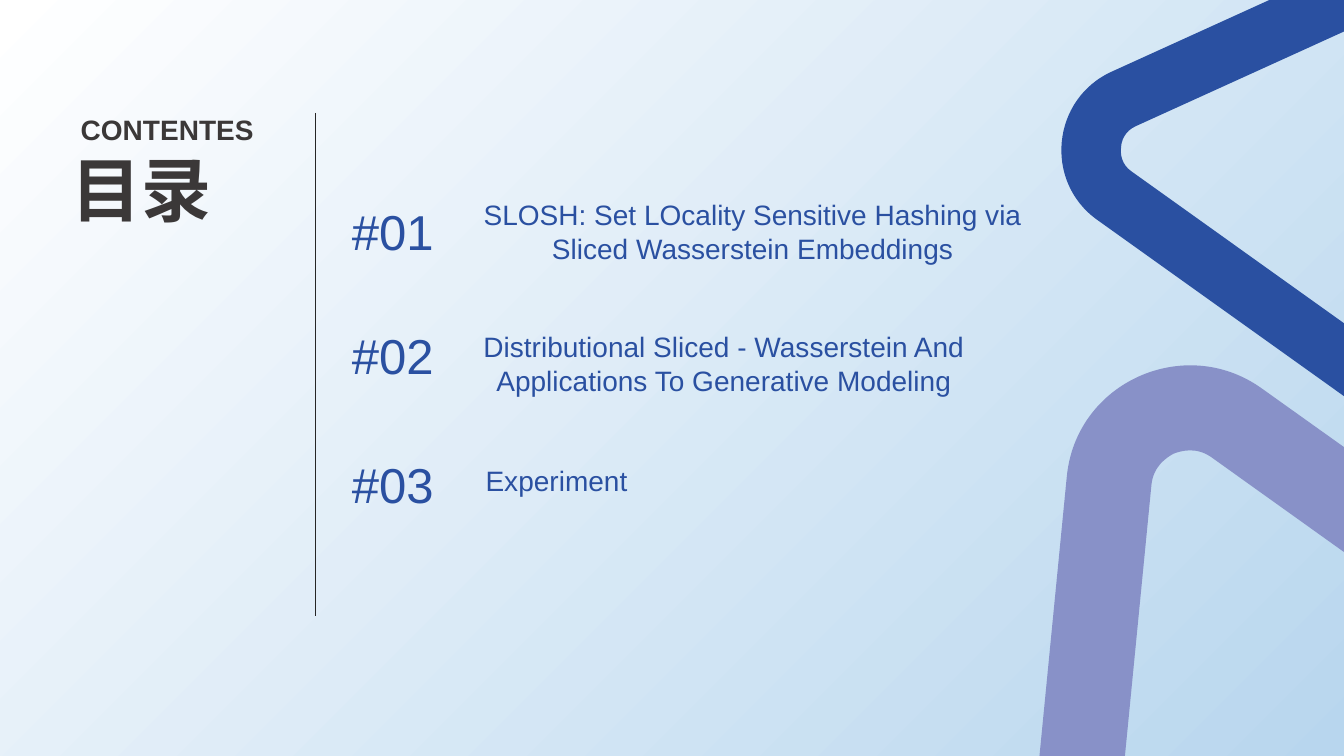
from collections import namedtuple
from math import cos, radians, sin

from lxml.etree import SubElement
from pptx import Presentation
from pptx.dml.color import RGBColor
from pptx.enum.shapes import MSO_CONNECTOR, MSO_SHAPE
from pptx.enum.text import MSO_AUTO_SIZE, PP_ALIGN
from pptx.oxml.ns import qn
from pptx.util import Pt

PX = 9144
FONT = "Arial"
BLUE, LILAC, DARK, RULE = "2A50A1", "8891C8", "3B3838", "262626"

Box = namedtuple("Box", "left top width height")

BLUE_BAND = [
    [(1559, 397), (1599, -14), (1602, -47, 1587, -75, 1563, -91),
     (1540, -108, 1508, -113, 1479, -100), (1103, 71),
     (1043, 98, 1035, 180, 1088, 218), (1424, 458),
     (1478, 496, 1552, 462, 1559, 397)],
    [(1485, 413), (1480, 415, 1469, 418, 1458, 410), (1122, 170),
     (1112, 163, 1111, 152, 1112, 146), (1112, 141, 1115, 130, 1127, 125),
     (1503, -46), (1515, -52, 1525, -47, 1529, -44),
     (1534, -40, 1542, -33, 1540, -20), (1500, 391),
     (1499, 405, 1490, 411, 1485, 413)],
]
LILAC_BAND = [
    [(1058, 473), (1000, 1066), (996, 1113, 1018, 1153, 1051, 1177),
     (1085, 1201, 1130, 1209, 1173, 1189), (1715, 943),
     (1801, 904, 1812, 786, 1736, 731), (1251, 385),
     (1175, 331, 1067, 379, 1058, 473)],
    [(1164, 450), (1172, 447, 1187, 443, 1202, 454), (1686, 800),
     (1702, 811, 1703, 827, 1702, 835), (1701, 843, 1697, 858, 1680, 866),
     (1138, 1112), (1121, 1120, 1107, 1113, 1100, 1108),
     (1094, 1104, 1082, 1093, 1084, 1074), (1142, 481),
     (1144, 462, 1157, 454, 1164, 450)],
]
AGENDA = [
    ("#01", 0, "SLOSH: Set LOcality Sensitive Hashing via Sliced Wasserstein Embeddings",
     Box(106, -4, 583, 67)),
    ("#02", 123, "Distributional Sliced - Wasserstein And Applications To Generative Modeling",
     Box(66, 127, 606, 67)),
    ("#03", 251, "Experiment", Box(71, 260, 264, 34)),
]


def color(value):
    """Turn a hex string into a colour."""
    return RGBColor.from_string(value)


def add_text(page, box, text, size, ink, bold=False, wrap=False):
    """Place one line of text, or a centred block when it wraps."""
    frame = page.shapes.add_textbox(*(length * PX for length in box)).text_frame
    frame.margin_left = frame.margin_top = frame.margin_right = frame.margin_bottom = 0
    frame.word_wrap = wrap
    frame.auto_size = MSO_AUTO_SIZE.SHAPE_TO_FIT_TEXT
    para = frame.paragraphs[0]
    para.alignment = PP_ALIGN.CENTER if wrap else PP_ALIGN.LEFT
    span = para.add_run()
    span.text = text
    span.font.name = FONT
    span.font.size = Pt(size)
    span.font.bold = bold
    span.font.color.rgb = color(ink)


def add_backdrop(page, box):
    """Fill the box with the diagonal gradient."""
    backdrop = page.shapes.add_shape(MSO_SHAPE.RECTANGLE, *(length * PX for length in box))
    backdrop.shadow.inherit = False
    backdrop.line.fill.background()
    backdrop.fill.gradient()
    backdrop.fill.gradient_angle = 315
    for stop, value in zip(backdrop.fill.gradient_stops, ("FFFFFF", "B8D6EE")):
        stop.color.rgb = color(value)


def turn(x, y, angle):
    """Turn a point clockwise about the page corner."""
    cosine, sine = cos(radians(angle)), sin(radians(angle))
    return x * cosine - y * sine, x * sine + y * cosine


def bend(band, contours):
    """Join each three points of a curved segment into one cubic curve."""
    lines = iter(list(band._element.iter(qn("a:lnTo"))))
    for contour in contours:
        for segment in contour[1:]:
            line = next(lines)
            if len(segment) == 2:
                continue
            curve = line.makeelement(qn("a:cubicBezTo"))
            line.addprevious(curve)
            for part in (line, next(lines), next(lines)):
                curve.append(part[0])
                part.getparent().remove(part)


def add_band(page, box, contours, angle, ink):
    """Draw a turned, rounded triangular band from its outer and inner contours."""
    outlines = [[turn((box.left + x) * PX, (box.top + y) * PX, -angle)
                 for segment in contour
                 for x, y in zip(segment[::2], segment[1::2])]
                for contour in contours]
    builder = page.shapes.build_freeform(*outlines[0][0])
    builder.add_line_segments(outlines[0][1:], close=True)
    for outline in outlines[1:]:
        builder.move_to(*outline[0])
        builder.add_line_segments(outline[1:], close=True)
    band = builder.convert_to_shape()
    bend(band, contours)
    x, y = turn(band.left + band.width / 2, band.top + band.height / 2, angle)
    band.left, band.top = round(x - band.width / 2), round(y - band.height / 2)
    band.rotation = angle
    band.shadow.inherit = False
    band.fill.solid()
    band.fill.fore_color.rgb = color(ink)
    band.line.fill.background()


def add_heading(page, box):
    """Place the two titles and the rule at the right edge of the box."""
    add_text(page, Box(box.left, box.top + 33, 141, 84), "目录", 50, DARK, bold=True)
    add_text(page, Box(box.left + 9, box.top, 173, 34), "CONTENTES", 20, DARK, bold=True)
    right, bottom = box.left + box.width, box.top + box.height
    rule = page.shapes.add_connector(MSO_CONNECTOR.STRAIGHT, right * PX, box.top * PX,
                                     right * PX, bottom * PX)
    rule.line.color.rgb = color(RULE)
    rule.line.width = Pt(0.5)
    SubElement(rule._element.spPr, qn("a:effectLst"))


def add_agenda(page, box):
    """Place the numbered topics."""
    for number, top, topic, place in AGENDA:
        add_text(page, Box(box.left, box.top + top, 82, 59), number, 35, BLUE)
        topic_box = Box(box.left + place.left, box.top + place.top, place.width, place.height)
        add_text(page, topic_box, topic, 20, BLUE, wrap=True)


def main():
    """Build the contents slide."""
    deck = Presentation()
    whole = Box(0, 0, 1333, 750)
    deck.slide_width, deck.slide_height = whole.width * PX, whole.height * PX
    page = deck.slides.add_slide(deck.slide_layouts[6])
    page.background.fill.solid()
    page.background.fill.fore_color.rgb = color(BLUE)
    add_backdrop(page, whole)
    add_band(page, whole, BLUE_BAND, 35.6, BLUE)
    add_band(page, whole, LILAC_BAND, 215.6, LILAC)
    add_heading(page, Box(71, 112, 242, 499))
    add_agenda(page, Box(349, 200, 690, 310))
    deck.save("out.pptx")


if __name__ == "__main__":
    main()
